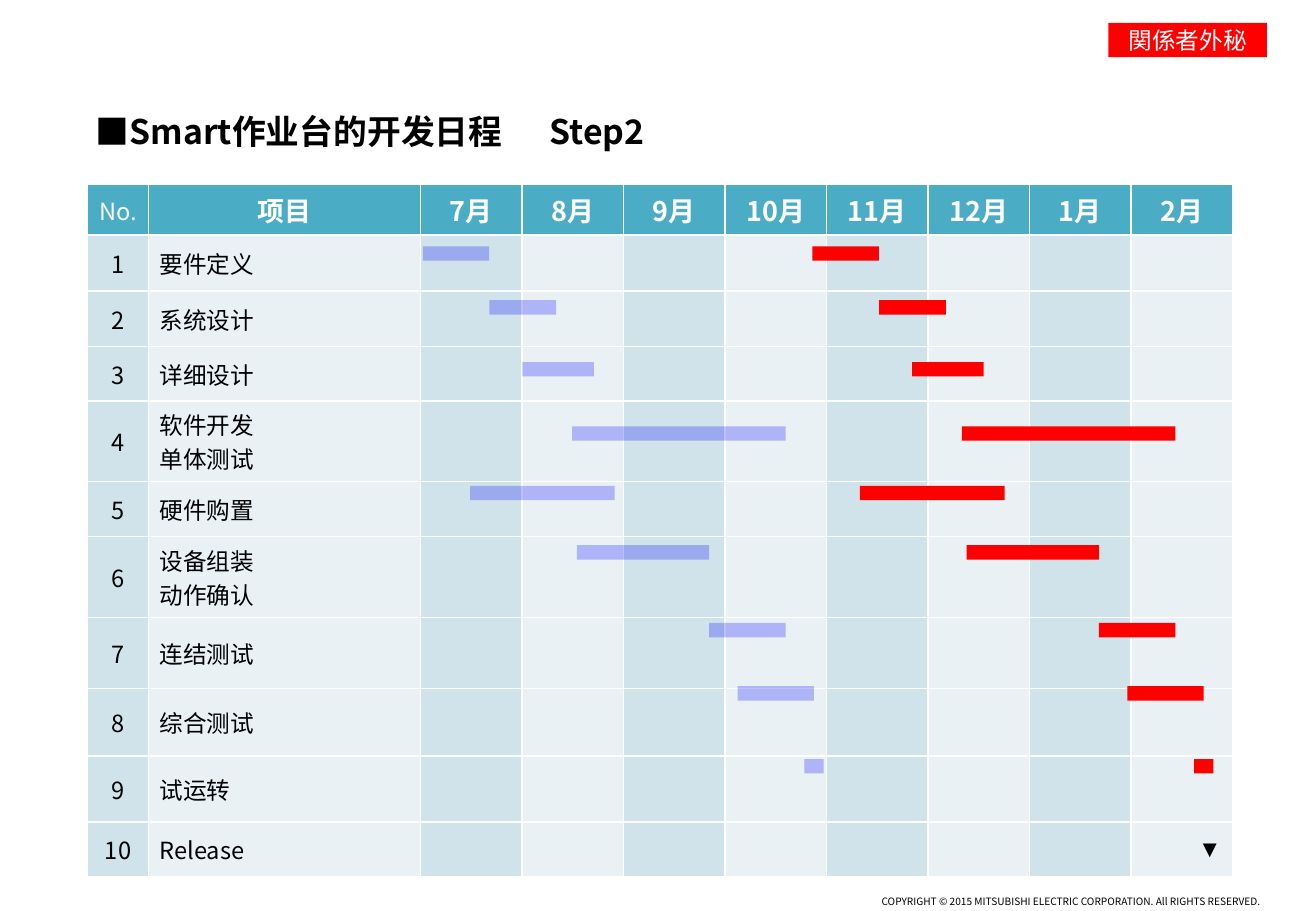
from lxml import etree
from pptx import Presentation
from pptx.dml.color import RGBColor
from pptx.enum import shapes, text
from pptx.oxml import ns
from pptx.util import Pt

ALIGN, ANCHOR = text.PP_ALIGN, text.MSO_ANCHOR
JP, SC = "Noto Sans CJK JP", "Noto Sans CJK SC"

TASKS = [
    ("要件定义", 33.2, (250.6, 146, 39.4)),
    ("系统设计", 32.9, (290, 178, 39.6)),
    ("详细设计", 32.3, (309.7, 214.6, 42.4)),
    ("软件开发\n单体测试", 47.8, (339.1, 252.8, 126.6)),
    ("硬件购置", 32.6, (278.6, 288, 85.8)),
    ("设备组装\n动作确认", 48, (342, 323.2, 78.4)),
    ("连结测试", 42.1, (420.4, 369.3, 45.3)),
    ("综合测试", 40, (437.2, 406.8, 45.3)),
    ("试运转", 39.1, (476.8, 450, 11.4)),
    ("Release", 32.3, None),
]
MONTHS = [f"{m}月" for m in (7, 8, 9, 10, 11, 12, 1, 2)]
DELAY = 231


def tint(code):
    return RGBColor.from_string(code)


def assign(item, values):
    for key, value in values.items():
        setattr(item, key, value)


class Page:
    base = {"size": 14, "name": JP, "bold": False, "color": "000000"}
    bands = ("D0E3EA", "E9F1F5")
    head = "4BACC6"
    rule = "FFFFFF"

    def __init__(self, slide):
        self.slide = slide

    def words(self, frame, copy, align=ALIGN.LEFT, tab=None, **style):
        look = {**self.base, **style}
        color = look.pop("color")
        look["size"] = Pt(look["size"])
        for i, line in enumerate(copy.split("\n")):
            para = frame.add_paragraph() if i else frame.paragraphs[0]
            para.alignment = align
            if tab:
                stops = etree.SubElement(para._p.get_or_add_pPr(), ns.qn("a:tabLst"))
                etree.SubElement(stops, ns.qn("a:tab"), pos=str(Pt(tab)), algn="l")
            run = para.add_run()
            run.text = line
            assign(run.font, look)
            run.font.color.rgb = tint(color)
            etree.SubElement(run._r.get_or_add_rPr(), ns.qn("a:ea"), typeface=look["name"])

    def label(self, box, copy, frame, **style):
        shape = self.slide.shapes.add_textbox(*map(Pt, box))
        assign(shape.text_frame, {"word_wrap": True, **frame})
        self.words(shape.text_frame, copy, **style)

    def block(self, box, color, alpha=None):
        shape = self.slide.shapes.add_shape(shapes.MSO_SHAPE.RECTANGLE, *map(Pt, box))
        shape.shadow.inherit = False
        shape.fill.solid()
        shape.fill.fore_color.rgb = tint(color)
        shape.line.fill.background()
        if alpha:
            node = shape._element.spPr.find(".//" + ns.qn("a:srgbClr"))
            etree.SubElement(node, ns.qn("a:alpha"), val=str(alpha * 1000))
        return shape

    def cell(self, cell, color):
        assign(cell, {"margin_top": 0, "margin_bottom": 0,
                      "margin_left": Pt(6.6), "margin_right": Pt(6.6),
                      "vertical_anchor": ANCHOR.MIDDLE})
        for side in "LRTB":
            edge = etree.SubElement(cell._tc.get_or_add_tcPr(),
                                    ns.qn("a:ln" + side), w=str(Pt(1)))
            fill = etree.SubElement(edge, ns.qn("a:solidFill"))
            etree.SubElement(fill, ns.qn("a:srgbClr"), val=self.rule)
        cell.fill.solid()
        cell.fill.fore_color.rgb = tint(color)

    def grid(self, left, top, widths, heights):
        box = (left, top, sum(widths), sum(heights))
        table = self.slide.shapes.add_table(
            len(heights), len(widths), *map(Pt, box)).table
        assign(table, {"first_row": False, "horz_banding": False})
        for col, width in zip(table.columns, widths):
            col.width = Pt(width)
        for r, (row, height) in enumerate(zip(table.rows, heights)):
            row.height = Pt(height)
            for c, cell in enumerate(row.cells):
                self.cell(cell, self.bands[c % 2] if r else self.head)
        return table


def main():
    deck = Presentation()
    assign(deck, {"slide_width": Pt(780), "slide_height": Pt(540)})
    page = Page(deck.slides.add_slide(deck.slide_layouts[6]))

    bare = dict.fromkeys(
        ("margin_left", "margin_right", "margin_top", "margin_bottom"), 0)
    page.label((319.7, 529.2, 427, 8.7),
               "COPYRIGHT © 2015 MITSUBISHI ELECTRIC CORPORATION. All RIGHTS RESERVED.",
               {**bare, "vertical_anchor": ANCHOR.BOTTOM}, align=ALIGN.RIGHT, size=6)
    badge = page.block((657, 13.6, 94, 20.2), "FF0000").text_frame
    assign(badge, {"word_wrap": False, "vertical_anchor": ANCHOR.MIDDLE})
    page.words(badge, "関係者外秘", ALIGN.CENTER, color="FFFFFF")
    page.label((49.7, 60.5, 391, 33.8), "■Smart作业台的开发日程\tStep2",
               {"vertical_anchor": ANCHOR.MIDDLE}, tab=269, size=20, name=SC, bold=True)

    table = page.grid(52, 109.5, [36, 161.2] + [60.2] * len(MONTHS),
                      [29.9] + [task[1] for task in TASKS])
    page.words(table.cell(0, 0).text_frame, "No.", ALIGN.CENTER, color="FFFFFF")
    for c, name in enumerate(["项目"] + MONTHS, 1):
        page.words(table.cell(0, c).text_frame, name, ALIGN.CENTER,
                   size=16, name=SC, bold=True, color="FFFFFF")
    for r, (name, _, _) in enumerate(TASKS, 1):
        page.words(table.cell(r, 0).text_frame, str(r), ALIGN.CENTER, name=SC)
        page.words(table.cell(r, 1).text_frame, name)
    page.words(table.cell(len(TASKS), len(MONTHS) + 1).text_frame, "▼",
               ALIGN.RIGHT, name="Times New Roman")

    for shift, color, alpha in ((0, "0000FF", 25), (DELAY, "FF0000", None)):
        for _, _, span in TASKS:
            if span:
                x, y, width = span
                page.block((x + shift, y, width, 8.5), color, alpha)

    deck.save("out.pptx")


if __name__ == "__main__":
    main()
